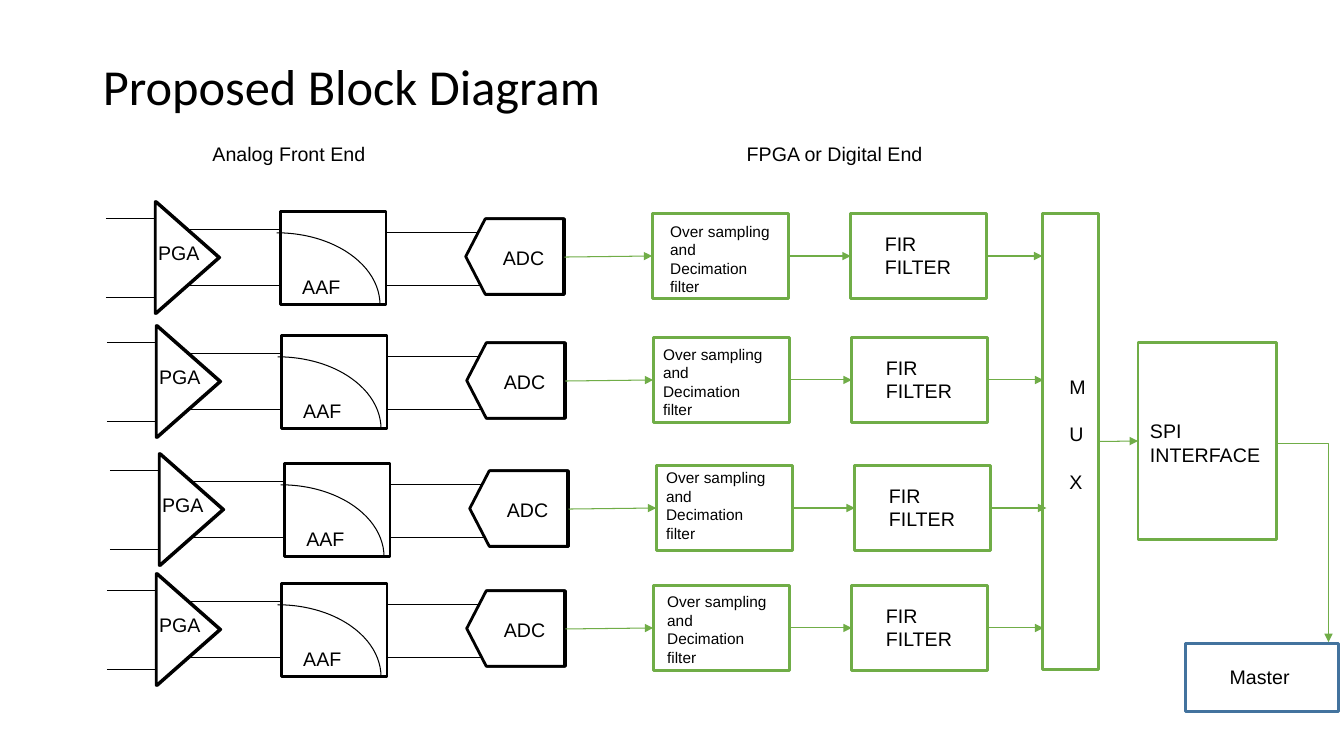
import pptx
import pptx.dml.color
import pptx.enum.shapes
import pptx.enum.text
import pptx.oxml
import pptx.oxml.ns
import pptx.util

PX = 9144  # 100 px to the inch
COLORS = {"black": "000000", "white": "FFFFFF", "green": "70AD47", "blue": "43739E"}
KIND = pptx.enum.shapes.MSO_SHAPE
LINE = pptx.enum.shapes.MSO_CONNECTOR


def text(lines, x, y, w, h, size=14, gap=0):
    """Add a text box with one paragraph per line, gap points apart."""
    tf = shapes.add_textbox(x * PX, y * PX, w * PX, h * PX).text_frame
    tf.word_wrap = True
    tf.auto_size = pptx.enum.text.MSO_AUTO_SIZE.SHAPE_TO_FIT_TEXT
    for i, line in enumerate(lines.split("\n")):
        p = tf.add_paragraph() if i else tf.paragraphs[0]
        p.space_before = pptx.util.Pt(gap if i else 0)
        r = p.add_run()
        r.text = line
        r.font.name = "Arial"
        r.font.size = pptx.util.Pt(size)
        r.font.color.rgb = pptx.dml.color.RGBColor.from_string(COLORS["black"])


def outline(sp, color, weight=0.75, fill=None, arrow=False):
    """Format a shape or connector, without shadow, and return it."""
    sp.line.color.rgb = pptx.dml.color.RGBColor.from_string(COLORS[color])
    sp.line.width = pptx.util.Pt(weight)
    if fill:
        sp.fill.solid()
        sp.fill.fore_color.rgb = pptx.dml.color.RGBColor.from_string(COLORS[fill])
    if arrow:
        tail = pptx.oxml.parse_xml(f'<a:tailEnd {pptx.oxml.ns.nsdecls("a")} type="triangle"/>')
        sp.line._get_or_add_ln().append(tail)
    sp._element.spPr.append(pptx.oxml.parse_xml(f'<a:effectLst {pptx.oxml.ns.nsdecls("a")}/>'))
    return sp


prs = pptx.Presentation()
prs.slide_width = pptx.util.Inches(13.333)
prs.slide_height = pptx.util.Inches(7.5)
slide = prs.slides.add_slide(prs.slide_layouts[5])
shapes = slide.shapes

title = shapes.title
title.left, title.top, title.width, title.height = [v * PX for v in (92, 40, 1150, 98)]
title.text_frame.text = "Proposed Block Diagram"
title.text_frame.vertical_anchor = pptx.enum.text.MSO_ANCHOR.MIDDLE
p = title.text_frame.paragraphs[0]
p.alignment = pptx.enum.text.PP_ALIGN.LEFT
p.line_spacing = 0.9
p.font.name = "Calibri"
p.font.size = pptx.util.Pt(36)
p.font.color.rgb = pptx.dml.color.RGBColor.from_string(COLORS["black"])

# Blocks shared by all channels
blocks = {}
for name, x, y, w, h, color in [
    ("mux", 1034, 212, 56, 452, "green"),
    ("spi", 1129, 340, 137, 195, "green"),
    ("master", 1176, 638, 152, 68, "blue"),
]:
    sp = shapes.add_shape(KIND.RECTANGLE, x * PX, y * PX, w * PX, h * PX)
    blocks[name] = outline(sp, color, 2, "white")

# Channels: offset from the first one, then place of the decimation label
for dx, dy, label_x, label_y in [
    (0, 0, 655, 215),
    (1, 123, 648, 337),
    (4, 250, 651, 460),
    (1, 369, 652, 583),
]:
    for name, kind, x, y, w, h, turn, color in [
        ("pga back", KIND.ISOSCELES_TRIANGLE, 131, 224, 111, 63, 90, "black"),
        ("adc back", KIND.FLOWCHART_OFFPAGE_CONNECTOR, 474, 206, 75, 97, 90, "black"),
        ("decimation", KIND.RECTANGLE, 647, 212, 135, 84, 0, "green"),
        ("pga", KIND.ISOSCELES_TRIANGLE, 130, 224, 111, 63, 90, "black"),
        ("aaf", KIND.RECTANGLE, 278, 210, 105, 92, 0, "black"),
        ("adc", KIND.FLOWCHART_OFFPAGE_CONNECTOR, 473, 206, 75, 97, 90, "black"),
        ("fir", KIND.RECTANGLE, 844, 212, 135, 84, 0, "green"),
    ]:
        sp = shapes.add_shape(kind, (x + dx) * PX, (y + dy) * PX, w * PX, h * PX)
        sp.rotation = turn
        blocks[name] = outline(sp, color, 2, "white")

    for x1, x2, y in [
        (185, 277, 228), (185, 277, 283),
        (383, 475, 231), (383, 477, 283),
        (105, 155, 217), (105, 154, 295),
    ]:
        ends = [v * PX for v in (x1 + dx, y + dy, x2 + dx, y + dy)]
        outline(shapes.add_connector(LINE.STRAIGHT, *ends), "black")

    for x1, y1, x2, source, target in [
        (560, 255, 647, None, "decimation"),
        (783, 254, 844, "decimation", "fir"),
        (979, 254, 1034, "fir", None),
    ]:
        ends = [v * PX for v in (x1 + dx, y1 + dy, x2 + dx, 254 + dy)]
        cxn = outline(shapes.add_connector(LINE.STRAIGHT, *ends), "green", arrow=True)
        if source:
            cxn.begin_connect(blocks[source], 3)
        if target:
            cxn.end_connect(blocks[target], 1)

    arc = shapes.add_shape(KIND.ARC, (172 + dx) * PX, (231 + dy) * PX, 205 * PX, 143 * PX)
    arc.fill.background()
    outline(arc, "black")

    for label, x, y, w, h in [
        ("PGA", 147, 234, 100, 34),
        ("AAF", 290, 268, 73, 34),
        ("ADC", 489, 239, 81, 34),
        ("FIR FILTER", 868, 225, 87, 57),
    ]:
        text(label, x + dx, y + dy, w, h)
    text("Over sampling and Decimation filter", label_x, label_y, 123, 84, size=11)

cxn = shapes.add_connector(LINE.STRAIGHT, 1090 * PX, 438 * PX, 1129 * PX, 437 * PX)
outline(cxn, "green", arrow=True)
cxn.begin_connect(blocks["mux"], 3)
cxn.end_connect(blocks["spi"], 1)

# One-corner elbow from the SPI block down to the master
cxn = shapes.add_connector(LINE.ELBOW, 1268 * PX, 440 * PX, 1318 * PX, 637 * PX)
cxn._element.spPr.find(pptx.oxml.ns.qn("a:prstGeom")).set("prst", "bentConnector2")
outline(cxn, "green", arrow=True)

text("M\nU\nX", 1051, 367, 29, 128, gap=17)
text("SPI INTERFACE", 1131, 411, 137, 57)
text("Master", 1210, 655, 102, 34)
text("Analog Front End", 201, 136, 280, 34)
text("FPGA or Digital End", 731, 136, 280, 34)

prs.save("out.pptx")
